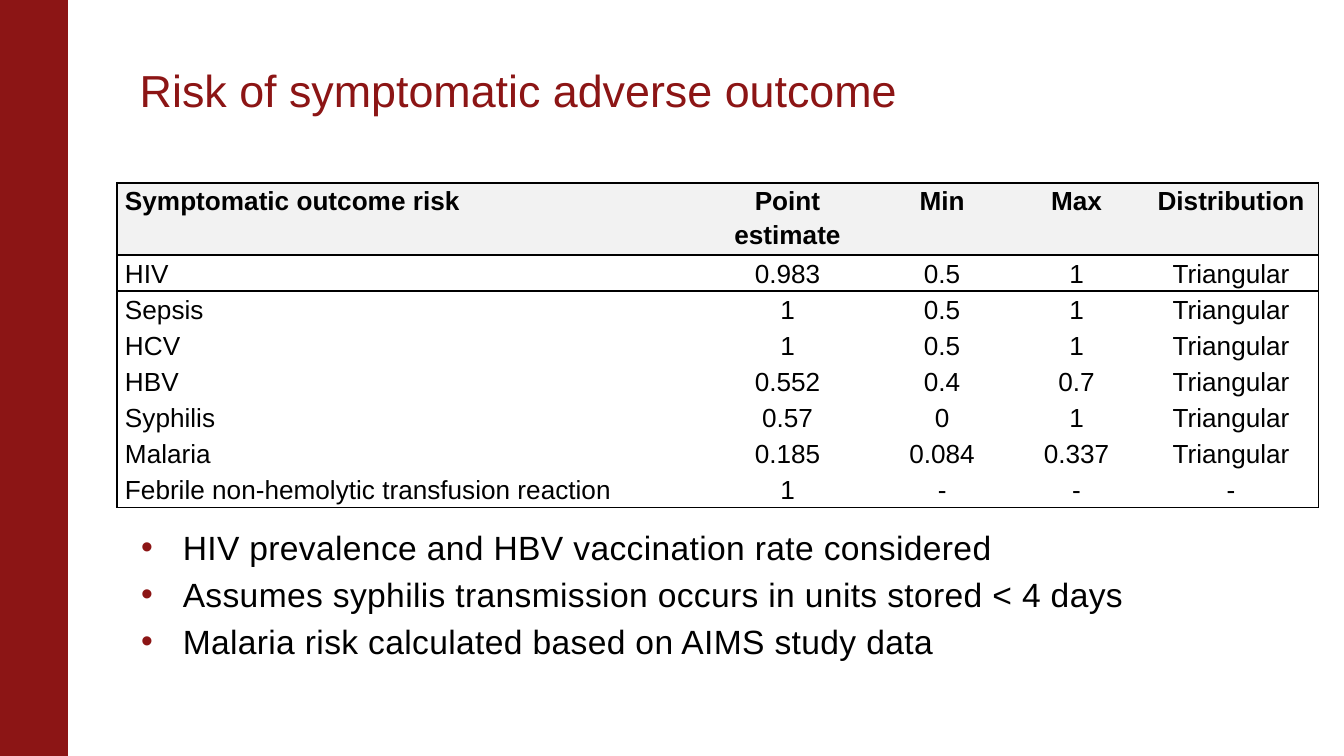
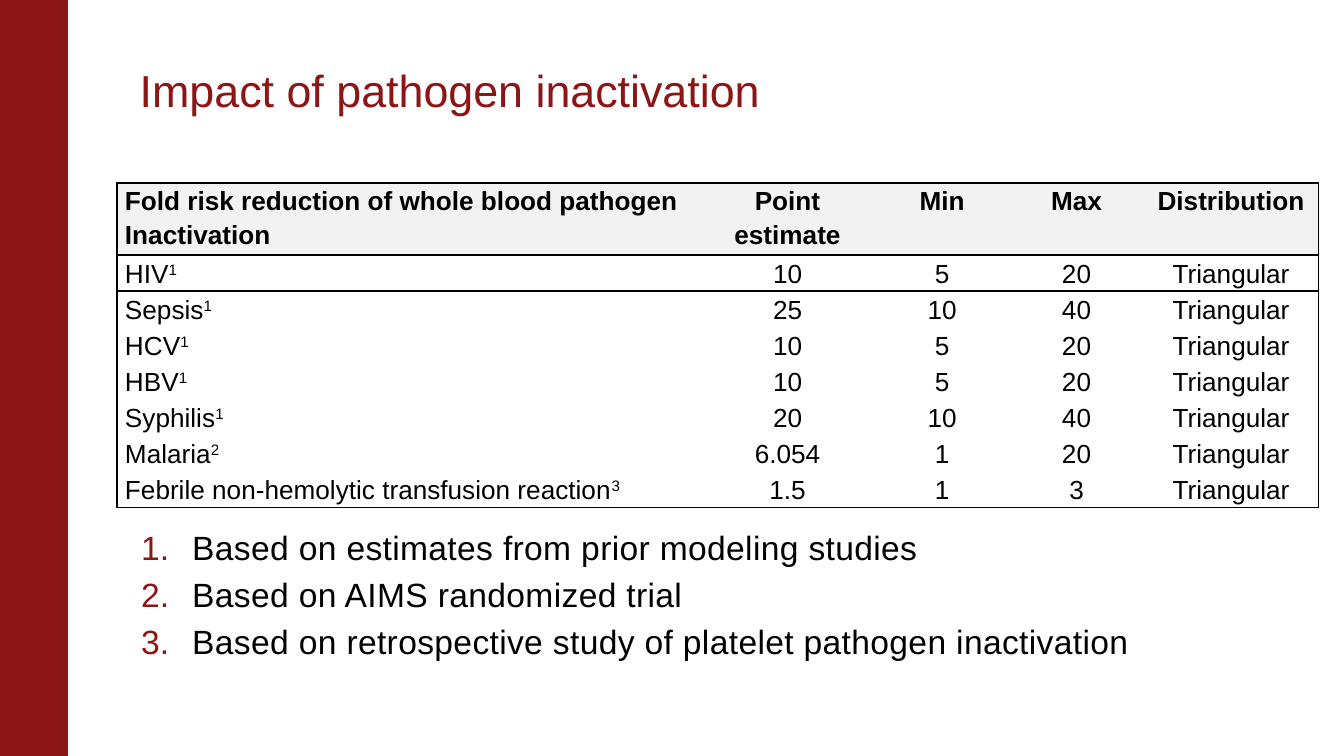
import dataclasses

import lxml.etree
import pptx
import pptx.dml.color
import pptx.enum.shapes
import pptx.enum.text
import pptx.oxml.ns
import pptx.util

ALIGN = pptx.enum.text.PP_ALIGN
ANCHOR = pptx.enum.text.MSO_ANCHOR


@dataclasses.dataclass(frozen=True)
class Theme:
    cardinal: str = "8C1515"
    ink: str = "000000"
    header_fill: str = "F2F2F2"
    font: str = "Arial"
    title_size: int = 24
    note_size: int = 18
    table_size: int = 14
    band_line: float = 0.75
    table_line: float = 1
    table_style: str = "{2D5ABB26-0587-4C30-8999-92F81FD0307C}"


GRID_COLUMNS = 100
BAND = (0, 0, 5, 56.25)
TITLE = (10.4, 3.9, 84.3, 5.3)
TABLE = (8.7, 13.6, 89.4, 22.4)
NOTES = (10.5, 38.7, 84.2, 12.3)
TABLE_COLUMNS = (43.4, 13, 10, 10, 13)
TABLE_ROW = 1.4
CELL_INSET = 0.6
FRAME_INSET = 0.5
BULLET = ("buChar", {"char": "•"})
NUMBER = ("buAutoNum", {"type": "arabicPeriod"})


def assign(target, values):
    for name, value in values.items():
        setattr(target, name, value)


def color(value):
    return pptx.dml.color.RGBColor.from_string(value)


def element(parent, tag, **attributes):
    texts = {name: str(value) for name, value in attributes.items()}
    return lxml.etree.SubElement(parent, pptx.oxml.ns.qn("a:" + tag), texts)


class Deck:
    def __init__(self, theme):
        self.theme = theme
        self.presentation = pptx.Presentation()
        width = pptx.util.Inches(10)
        assign(self.presentation, {"slide_width": width, "slide_height": width * 9 // 16})
        self.unit = width / GRID_COLUMNS
        self.slide = None

    def length(self, cells):
        return pptx.util.Emu(round(cells * self.unit))

    def place(self, box):
        return [self.length(cells) for cells in box]

    def margins(self, left, top, right, bottom):
        sides = {"left": left, "top": top, "right": right, "bottom": bottom}
        return {"margin_" + side: self.length(cells) for side, cells in sides.items()}

    def add_slide(self, title):
        self.slide = self.presentation.slides.add_slide(self.presentation.slide_layouts[6])
        self.add_band()
        self.add_title(title)

    def add_band(self):
        band = self.slide.shapes.add_shape(
            pptx.enum.shapes.MSO_SHAPE.RECTANGLE, *self.place(BAND))
        band.shadow.inherit = False
        band.fill.solid()
        for paint in (band.fill.fore_color, band.line.color):
            paint.rgb = color(self.theme.cardinal)
        band.line.width = pptx.util.Pt(self.theme.band_line)

    def add_frame(self, box, right_inset, anchor):
        frame = self.slide.shapes.add_textbox(*self.place(box)).text_frame
        assign(frame, {"word_wrap": True, "vertical_anchor": anchor,
                       **self.margins(0, FRAME_INSET, right_inset, FRAME_INSET)})
        return frame

    def add_run(self, paragraph, text, size, ink, bold=False):
        run = paragraph.add_run()
        run.text = text
        assign(run.font, {"name": self.theme.font, "size": pptx.util.Pt(size), "bold": bold})
        run.font.color.rgb = color(ink)
        return run.font._element

    def add_title(self, text):
        paragraph = self.add_frame(TITLE, 1, ANCHOR.BOTTOM).paragraphs[0]
        paragraph.line_spacing = 0.85
        self.add_run(paragraph, text, self.theme.title_size, self.theme.cardinal)

    def add_notes(self, notes, marker, indent):
        tag, attributes = marker
        frame = self.add_frame(NOTES, 0, ANCHOR.TOP)
        for index, note in enumerate(notes):
            paragraph = frame.add_paragraph() if index else frame.paragraphs[0]
            properties = paragraph._p.get_or_add_pPr()
            properties.set("marL", str(self.length(indent)))
            properties.set("indent", str(-self.length(indent)))
            element(element(properties, "spcBef"), "spcPct", val=20000)
            element(element(properties, "buClr"), "srgbClr", val=self.theme.cardinal)
            element(properties, "buFont", typeface=self.theme.font)
            element(properties, tag, **attributes)
            element(element(properties, "tabLst"), "tab", pos=self.length(4.4), algn="l")
            run = self.add_run(paragraph, note, self.theme.note_size, self.theme.ink)
            run.set("spc", "20")

    def add_borders(self, cell, sides):
        properties = cell._tc.get_or_add_tcPr()
        for side in (side for side in "LRTB" if side in sides):
            line = element(properties, "ln" + side, w=pptx.util.Pt(self.theme.table_line))
            element(element(line, "solidFill"), "srgbClr", val=self.theme.ink)

    def fill_cell(self, cell, content, header, centered):
        text, mark = content if isinstance(content, tuple) else (content, None)
        assign(cell, self.margins(CELL_INSET, 0, CELL_INSET, 0))
        if header:
            cell.fill.solid()
            cell.fill.fore_color.rgb = color(self.theme.header_fill)
        else:
            cell.fill.background()
        paragraph = cell.text_frame.paragraphs[0]
        assign(paragraph, {"line_spacing": 1.15,
                           "alignment": ALIGN.CENTER if centered else ALIGN.LEFT})
        style = (self.theme.table_size, self.theme.ink, header)
        self.add_run(paragraph, text, *style)
        if mark:
            self.add_run(paragraph, mark, *style).set("baseline", "30000")

    def add_table(self, rows):
        graphic = self.slide.shapes.add_table(
            len(rows), len(TABLE_COLUMNS), *self.place(TABLE))
        table = graphic.table
        assign(table, {"first_row": False, "horz_banding": False})
        for style in table._tbl.iter(pptx.oxml.ns.qn("a:tableStyleId")):
            style.text = self.theme.table_style
        for column, width in zip(table.columns, TABLE_COLUMNS):
            column.width = self.length(width)
        last_row, last_column = len(rows) - 1, len(TABLE_COLUMNS) - 1
        for row_index, row in enumerate(rows):
            table.rows[row_index].height = self.length(TABLE_ROW)
            for column_index, content in enumerate(row):
                cell = table.cell(row_index, column_index)
                edges = {"L": column_index == 0, "R": column_index == last_column,
                         "T": row_index <= 1, "B": row_index in (0, last_row)}
                self.add_borders(cell, [side for side, drawn in edges.items() if drawn])
                self.fill_cell(cell, content, row_index == 0, column_index > 0)
        graphic.height = self.length(TABLE[3])


HEADINGS = ("Point estimate", "Min", "Max", "Distribution")
FEBRILE = "Febrile non-hemolytic transfusion reaction"
SHAPE = "Triangular"

SLIDES = (
    {
        "title": "Risk of symptomatic adverse outcome",
        "rows": (
            ("Symptomatic outcome risk", *HEADINGS),
            ("HIV", "0.983", "0.5", "1", SHAPE),
            ("Sepsis", "1", "0.5", "1", SHAPE),
            ("HCV", "1", "0.5", "1", SHAPE),
            ("HBV", "0.552", "0.4", "0.7", SHAPE),
            ("Syphilis", "0.57", "0", "1", SHAPE),
            ("Malaria", "0.185", "0.084", "0.337", SHAPE),
            (FEBRILE, "1", "-", "-", "-"),
        ),
        "notes": (
            "HIV prevalence and HBV vaccination rate considered",
            "Assumes syphilis transmission occurs in units stored < 4 days",
            "Malaria risk calculated based on AIMS study data",
        ),
        "marker": BULLET,
        "indent": 3.1,
    },
    {
        "title": "Impact of pathogen inactivation",
        "rows": (
            ("Fold risk reduction of whole blood pathogen Inactivation", *HEADINGS),
            (("HIV", "1"), "10", "5", "20", SHAPE),
            (("Sepsis", "1"), "25", "10", "40", SHAPE),
            (("HCV", "1"), "10", "5", "20", SHAPE),
            (("HBV", "1"), "10", "5", "20", SHAPE),
            (("Syphilis", "1"), "20", "10", "40", SHAPE),
            (("Malaria", "2"), "6.054", "1", "20", SHAPE),
            ((FEBRILE, "3"), "1.5", "1", "3", SHAPE),
        ),
        "notes": (
            "Based on estimates from prior modeling studies",
            "Based on AIMS randomized trial",
            "Based on retrospective study of platelet pathogen inactivation",
        ),
        "marker": NUMBER,
        "indent": 3.8,
    },
)


def main():
    deck = Deck(Theme())
    for content in SLIDES:
        deck.add_slide(content["title"])
        deck.add_table(content["rows"])
        deck.add_notes(content["notes"], content["marker"], content["indent"])
    deck.presentation.save("out.pptx")


if __name__ == "__main__":
    main()
